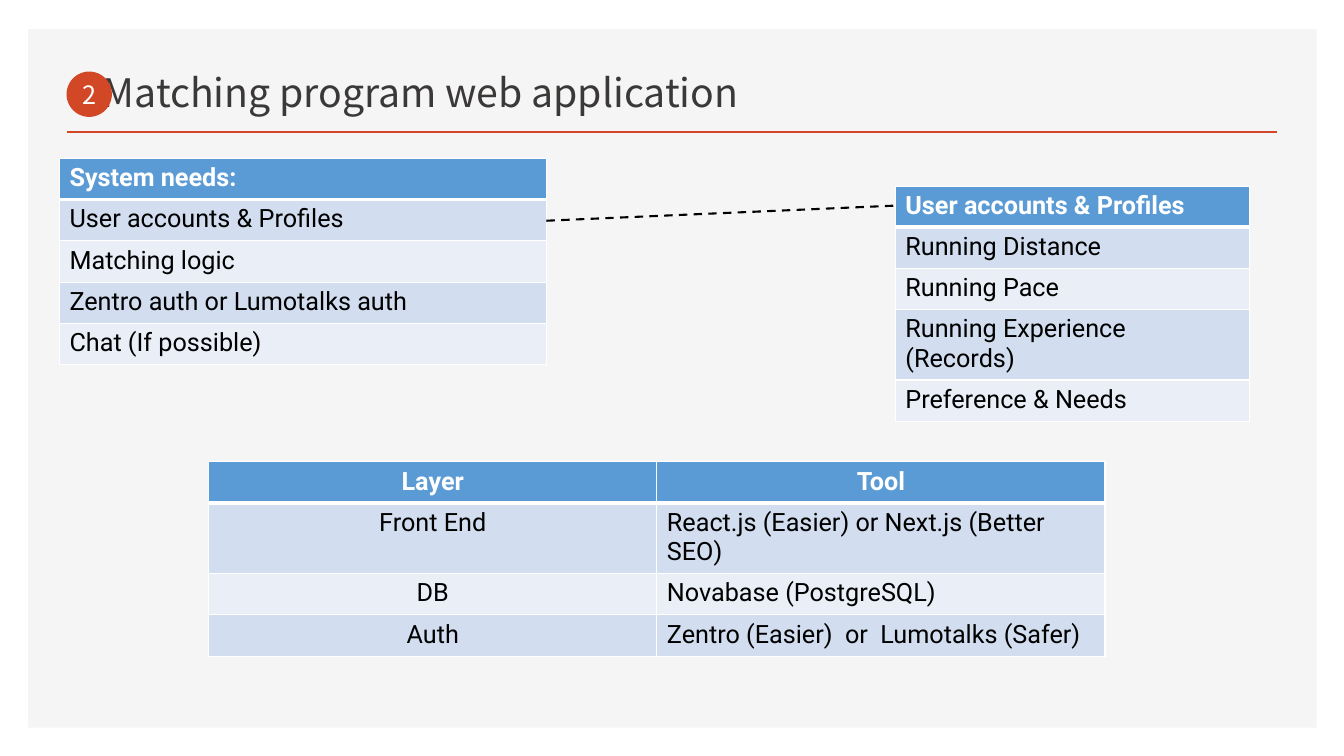
from dataclasses import dataclass

from lxml import etree
from pptx import Presentation
from pptx.dml.color import RGBColor
from pptx.enum.dml import MSO_LINE
from pptx.enum.shapes import MSO_CONNECTOR, MSO_SHAPE
from pptx.enum.text import MSO_ANCHOR, PP_ALIGN
from pptx.oxml.ns import qn
from pptx.util import Inches, Pt

RECT, OVAL = MSO_SHAPE.RECTANGLE, MSO_SHAPE.OVAL
LEFT, CENTER = PP_ALIGN.LEFT, PP_ALIGN.CENTER
BOTTOM, MIDDLE = MSO_ANCHOR.BOTTOM, MSO_ANCHOR.MIDDLE
STRAIGHT, DASH = MSO_CONNECTOR.STRAIGHT, MSO_LINE.DASH


@dataclass(frozen=True)
class Theme:
    panel: str = "F5F5F5"
    accent: str = "D24726"
    title: str = "3B3838"
    head: str = "5B9BD5"
    bands: tuple = ("D2DEEF", "EAEFF7")
    white: str = "FFFFFF"
    black: str = "000000"
    head_font: str = "Noto Sans CJK KR"
    body_font: str = "Roboto"
    title_size: int = 28
    body_size: int = 18


THEME = Theme()
ROW = 0.41

NEEDS = [["System needs:"], ["User accounts & Profiles"], ["Matching logic"],
         ["Zentro auth or Lumotalks auth"], ["Chat (If possible)"]]
PROFILE = [["User accounts & Profiles"], ["Running Distance"],
           ["Running Pace"], ["Running Experience (Records)"],
           ["Preference & Needs"]]
STACK = [["Layer", "Tool"],
         ["Front End", "React.js (Easier) or Next.js (Better SEO)"],
         ["DB", "Novabase (PostgreSQL)"],
         ["Auth", "Zentro (Easier)  or  Lumotalks (Safer)"]]


def rgb(code):
    return RGBColor.from_string(code)


def write(frame, text, size, color, font, align=LEFT, bold=False):
    frame.text = text
    par = frame.paragraphs[0]
    par.alignment = align
    face = par.runs[0].font
    face.size, face.name, face.bold = Pt(size), font, bold
    face.color.rgb = rgb(color)


def add_block(slide, kind, box, color):
    shape = slide.shapes.add_shape(kind, *map(Inches, box))
    shape.shadow.inherit = False
    shape.fill.solid()
    shape.fill.fore_color.rgb = rgb(color)
    shape.line.fill.background()
    return shape


def add_line(slide, start, end, color, width, dash=None):
    line = slide.shapes.add_connector(STRAIGHT, *map(Inches, start + end))
    line.line.color.rgb = rgb(color)
    line.line.width = Pt(width)
    if dash:
        line.line.dash_style = dash
    etree.SubElement(line._element.spPr, qn("a:effectLst"))


def set_edges(cell, top, bottom):
    """Draw white cell borders; widths are in points."""
    props = cell._tc.get_or_add_tcPr()
    sides = (("L", 1), ("R", 1), ("T", top), ("B", bottom))
    for spot, (side, width) in enumerate(sides):
        edge = etree.Element(qn("a:ln" + side), w=str(Pt(width)))
        fill = etree.SubElement(edge, qn("a:solidFill"))
        etree.SubElement(fill, qn("a:srgbClr"), val=THEME.white)
        props.insert(spot, edge)


def add_grid(slide, box, rows, aligns, head=ROW):
    """Place a banded table; box is left, top, width."""
    left, top, width = box
    high = head + ROW * (len(rows) - 1)
    table = slide.shapes.add_table(len(rows), len(aligns), Inches(left),
                                   Inches(top), Inches(width),
                                   Inches(high)).table
    for r, texts in enumerate(rows):
        is_head = r == 0
        table.rows[r].height = Inches(head if is_head else ROW)
        color = THEME.head if is_head else THEME.bands[(r - 1) % 2]
        for c, text in enumerate(texts):
            cell = table.cell(r, c)
            cell.fill.solid()
            cell.fill.fore_color.rgb = rgb(color)
            set_edges(cell, 3 if r == 1 else 1, 3 if is_head else 1)
            align = CENTER if is_head and len(texts) > 1 else aligns[c]
            write(cell.text_frame, text, THEME.body_size,
                  THEME.white if is_head else THEME.black,
                  THEME.body_font, align, is_head)


def add_header(slide, box, number, text):
    """Place the title, its rule and its number; box is left, top, width."""
    left, top, width = box
    title = slide.shapes.add_textbox(Inches(left - 0.09), Inches(top),
                                     Inches(7.52), Inches(0.7))
    frame = title.text_frame
    frame.word_wrap = True
    frame.vertical_anchor = BOTTOM
    frame.margin_left = Inches(0.45)
    write(frame, text, THEME.title_size, THEME.title, THEME.head_font)

    rule = top + 0.82
    add_line(slide, (left, rule), (left + width, rule), THEME.accent, 2)

    badge = add_block(slide, OVAL, (left, top + 0.22, 0.45, 0.45),
                      THEME.accent)
    frame = badge.text_frame
    frame.margin_left = frame.margin_right = 0
    frame.margin_top = frame.margin_bottom = 0
    frame.vertical_anchor = MIDDLE
    frame.word_wrap = False
    write(frame, number, THEME.body_size, THEME.white, THEME.head_font,
          CENTER)


def main():
    deck = Presentation()
    deck.slide_width, deck.slide_height = Inches(13.33), Inches(7.5)
    slide = deck.slides.add_slide(deck.slide_layouts[6])

    add_block(slide, RECT, (0.28, 0.29, 12.78, 6.93), THEME.panel)
    add_header(slide, (0.66, 0.49, 12.01), "2",
               "Matching program web application")
    add_grid(slide, (0.59, 1.57, 4.83), NEEDS, [LEFT])
    add_grid(slide, (8.88, 1.85, 3.51), PROFILE, [LEFT], head=0.38)
    add_line(slide, (5.42, 2.19), (8.88, 2.04), THEME.black, 1.5, DASH)
    add_grid(slide, (2.07, 4.58, 8.89), STACK, [CENTER, LEFT])
    deck.save("out.pptx")


if __name__ == "__main__":
    main()
